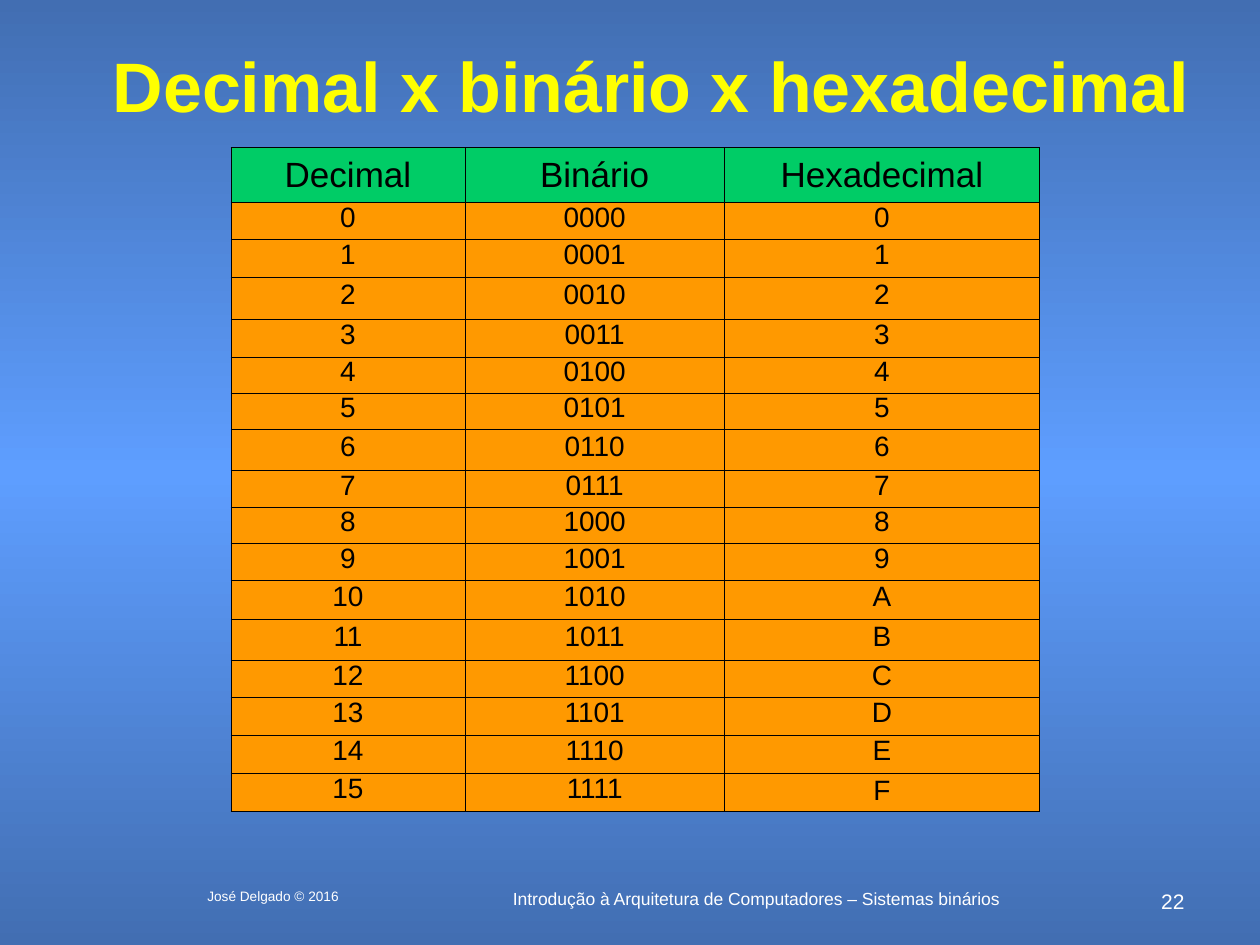
from copy import deepcopy

from lxml.etree import SubElement
from pptx import Presentation
from pptx.dml.color import RGBColor
from pptx.enum.text import MSO_ANCHOR, MSO_AUTO_SIZE, PP_ALIGN
from pptx.oxml.ns import qn
from pptx.util import Pt

FONT = "Arial"
DEEP_BLUE = RGBColor(0x42, 0x6E, 0xB2)
BRIGHT_BLUE = RGBColor(0x5E, 0x9E, 0xFF)
YELLOW = RGBColor(0xFF, 0xFF, 0x00)
WHITE = RGBColor(0xFF, 0xFF, 0xFF)
BLACK = RGBColor(0x00, 0x00, 0x00)
GREEN = RGBColor(0x00, 0xCC, 0x66)
ORANGE = RGBColor(0xFF, 0x99, 0x00)

TITLE = "Decimal x binário x hexadecimal"
HEADINGS = ["Decimal", "Binário", "Hexadecimal"]
NUMBERS = [(str(n), f"{n:04b}", f"{n:X}") for n in range(16)]
COLUMN_WIDTHS = [133.7, 148.3, 180]
ROW_HEIGHTS = [30.7, 21.1, 21.7, 24, 21.7, 20.6, 20.6, 23.4, 21.1,
               20.6, 21.1, 22.3, 23.4, 21.1, 21.7, 21.7, 21.7]
TABLE_LEFT, TABLE_TOP = 132, 84.4
FOOTER_TOP = 504
FOOTERS = [
    ("Introdução à Arquitetura de Computadores – Sistemas binários",
     240, 384, 18, 10, PP_ALIGN.CENTER),
    ("22", 654, 30, 12, 12, PP_ALIGN.RIGHT),
    ("José Delgado © 2016", 96, 120, 18, 7.8, PP_ALIGN.CENTER),
]


def write(frame, text, size, color, align=PP_ALIGN.CENTER, bold=False):
    frame.text = text
    paragraph = frame.paragraphs[0]
    paragraph.alignment = align
    font = paragraph.runs[0].font
    font.name, font.size, font.bold = FONT, Pt(size), bold
    font.color.rgb = color
    return paragraph


def paint_background(slide):
    fill = slide.background.fill
    fill.gradient()
    fill.gradient_angle = 270
    stop_list = slide.element.find(".//" + qn("a:gsLst"))
    stop_list.append(deepcopy(stop_list[0]))
    colors = [DEEP_BLUE, BRIGHT_BLUE, DEEP_BLUE]
    for stop, position, color in zip(fill.gradient_stops, (0, 0.5, 1), colors):
        stop.position = position
        stop.color.rgb = color


def add_borders(cell):
    properties = cell._tc.get_or_add_tcPr()
    for side in ("a:lnL", "a:lnR", "a:lnT", "a:lnB"):
        line = SubElement(properties, qn(side), w=str(Pt(0.45)))
        solid = SubElement(line, qn("a:solidFill"))
        SubElement(solid, qn("a:srgbClr"), val=str(BLACK))


def add_number_table(slide):
    rows = [HEADINGS, *NUMBERS]
    table = slide.shapes.add_table(
        len(rows), len(HEADINGS), Pt(TABLE_LEFT), Pt(TABLE_TOP),
        Pt(sum(COLUMN_WIDTHS)), Pt(sum(ROW_HEIGHTS))).table
    table.first_row = table.horz_banding = False
    for column, width in zip(table.columns, COLUMN_WIDTHS):
        column.width = Pt(width)
    for r, (values, height) in enumerate(zip(rows, ROW_HEIGHTS)):
        table.rows[r].height = Pt(height)
        for c, value in enumerate(values):
            cell = table.cell(r, c)
            add_borders(cell)
            cell.fill.solid()
            cell.fill.fore_color.rgb = ORANGE if r else GREEN
            cell.vertical_anchor = MSO_ANCHOR.MIDDLE
            cell.margin_left = cell.margin_right = Pt(7.2)
            cell.margin_top = cell.margin_bottom = Pt(3.6)
            paragraph = write(cell.text_frame, value, 16 if r else 20, BLACK)
            if r:
                paragraph.line_spacing = 0.7
    table.cell(len(rows) - 1, len(HEADINGS) - 1).vertical_anchor = MSO_ANCHOR.BOTTOM


def main():
    deck = Presentation()
    deck.slide_width, deck.slide_height = Pt(720), Pt(540)
    slide = deck.slides.add_slide(deck.slide_layouts[5])
    paint_background(slide)

    for text, left, width, height, size, align in FOOTERS:
        footer = slide.shapes.add_textbox(
            Pt(left), Pt(FOOTER_TOP), Pt(width), Pt(height))
        footer.text_frame.word_wrap = True
        write(footer.text_frame, text, size, WHITE, align)

    title = slide.shapes.title
    title.left, title.top, title.width, title.height = Pt(54), Pt(24), Pt(636), Pt(48)
    title.text_frame.auto_size = MSO_AUTO_SIZE.NONE
    title.text_frame.vertical_anchor = MSO_ANCHOR.MIDDLE
    write(title.text_frame, TITLE, 40, YELLOW, bold=True)

    add_number_table(slide)
    deck.save("out.pptx")


if __name__ == "__main__":
    main()
